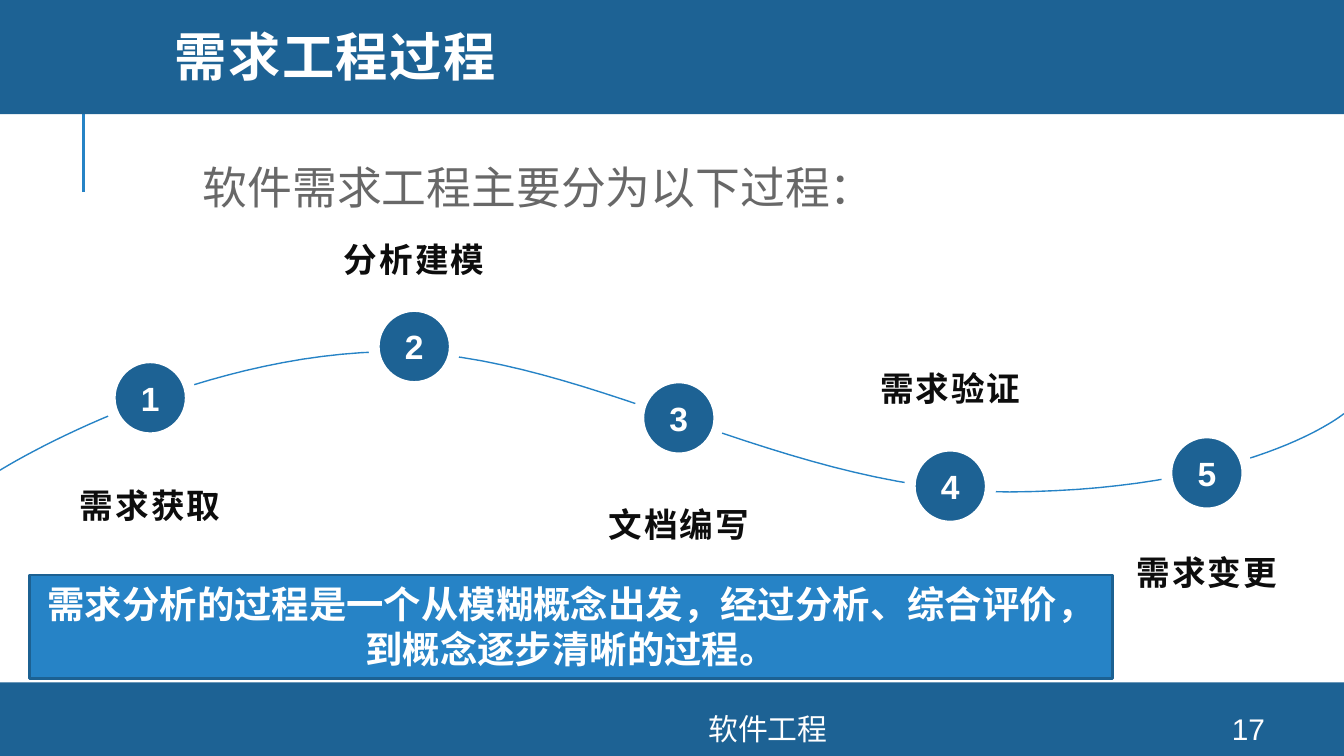
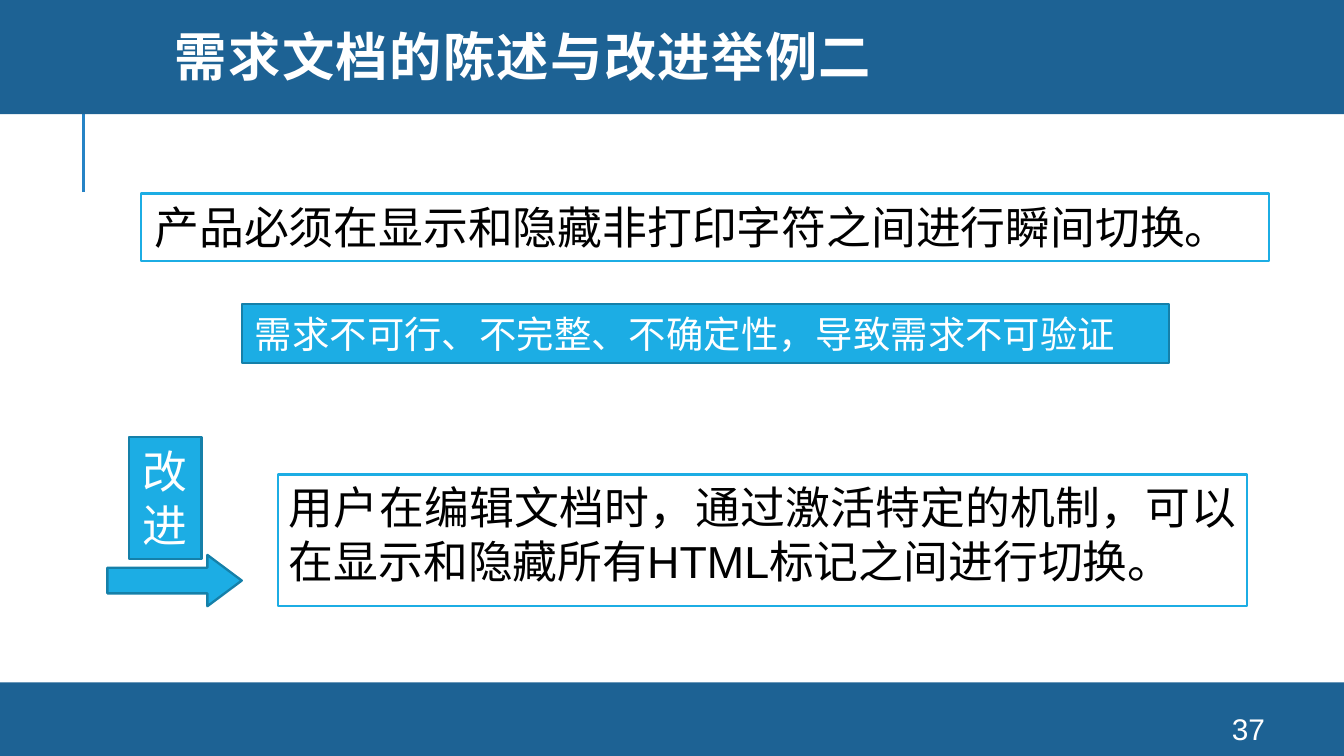
from lxml.etree import SubElement
from pptx import Presentation
from pptx.dml.color import RGBColor
from pptx.enum.shapes import MSO_CONNECTOR, MSO_SHAPE
from pptx.enum.text import MSO_ANCHOR, PP_ALIGN
from pptx.oxml.ns import qn
from pptx.util import Cm, Pt

NAVY, BLUE, SKY = "1D6294", "2683C6", "1CADE4"
EDGE, TEAL = "1C6192", "1580A9"
WHITE, BLACK, INK, GREY = "FFFFFF", "000000", "0D0D0D", "686868"
LEFT, MID, JUST = PP_ALIGN.LEFT, PP_ALIGN.CENTER, PP_ALIGN.JUSTIFY
TOP, HALF, BASE = MSO_ANCHOR.TOP, MSO_ANCHOR.MIDDLE, MSO_ANCHOR.BOTTOM
RECT = MSO_SHAPE.RECTANGLE


def box(shapes, kind, at, fill, line=None, width=1.25):
    """Add a preset shape; at is left, top, width, height in cm."""
    shape = shapes.add_shape(kind, *map(Cm, at))
    shape.shadow.inherit = False
    shape.fill.solid()
    shape.fill.fore_color.rgb = RGBColor.from_string(fill)
    if line:
        shape.line.color.rgb = RGBColor.from_string(line)
        shape.line.width = Pt(width)
    else:
        shape.line.fill.background()
    return shape


def write(shape, text, size, color, bold=False, align=LEFT, anchor=TOP,
          lead=None, before=0, track=0, face="Arial", wrap=True):
    """Fill a shape with text in one style, one paragraph a line."""
    frame = shape.text_frame
    frame.text = text
    frame.word_wrap = wrap
    frame.vertical_anchor = anchor
    for para in frame.paragraphs:
        para.alignment = align
        para.space_before = Pt(before)
        if lead:
            para.line_spacing = lead
        font = para.font
        font.name, font.size, font.bold = face, Pt(size), bold
        font.color.rgb = RGBColor.from_string(color)
        if track:
            for run in para.runs:
                run._r.get_or_add_rPr().set("spc", str(track))


deck = Presentation()
deck.slide_width, deck.slide_height = Cm(25.4), Cm(14.29)

# Titles and page numbers
slides = []
for title, face, page in (("需求工程过程", "Arial", "17"),
                          ("需求文档的陈述与改进举例二", "Montserrat", "37")):
    slide = deck.slides.add_slide(deck.slide_layouts[5])
    head = slide.shapes.title
    head.left, head.top, head.width, head.height = map(Cm, (3.05, 0, 21.56, 2.31))
    write(head, title, 28, WHITE, True, anchor=HALF, lead=0.8, track=80, face=face)
    foot = slide.shapes.add_textbox(*map(Cm, (22.58, 13.49, 2.03, 0.58)))
    write(foot, page, 16, WHITE, align=MID, anchor=HALF)
    slides.append(slide)
first, second = (slide.shapes for slide in slides)

# Shared bands and rule, moved to the master
rule = first.add_connector(MSO_CONNECTOR.STRAIGHT, *map(Cm, (1.58, 3.63, 1.58, 1.73)))
rule.line.color.rgb = RGBColor.from_string(BLUE)
rule.line.width = Pt(1.5)
SubElement(rule._element.spPr, qn("a:effectLst"))
base = box(first, RECT, (0, 12.9, 25.4, 1.39), NAVY)
band = box(first, RECT, (0, -0.08, 25.4, 2.24), NAVY)
tree = deck.slide_master.shapes._spTree
for n, part in enumerate((rule, base, band)):
    part._element.xpath(".//p:cNvPr")[0].set("id", str(20 + n))
    tree.insert(2 + n, part._element)

# Slide 1: lead-in and footer
intro = first.add_textbox(*map(Cm, (3.58, 2.69, 16.15, 1.5)))
write(intro, "软件需求工程主要分为以下过程：", 24, GREY, lead=1.2)
foot = first.add_textbox(*map(Cm, (6.63, 13.49, 15.77, 0.58)))
write(foot, "软件工程", 16, WHITE, align=MID, anchor=HALF)

# Slide 1: wave, sampled from three cubic curves
knots = [(25.4, 7.82), (25.4, 7.82), (23.65, 9.27), (19.08, 9.3),
         (14.76, 9.3), (11, 6.58), (7.21, 6.65),
         (3.4, 6.76), (0, 8.89), (0, 8.89)]
STEPS = 30
points = []
for k in range(0, 9, 3):
    for i in range(1, STEPS + 1):
        t = i / STEPS
        mix = ((1 - t) ** 3, 3 * t * (1 - t) ** 2, 3 * t * t * (1 - t), t ** 3)
        points.append([Cm(sum(m * p[axis] for m, p in zip(mix, knots[k:k + 4])))
                       for axis in (0, 1)])
path = first.build_freeform(*map(Cm, knots[0]))
path.add_line_segments(points, close=False)
wave = path.convert_to_shape()
wave.shadow.inherit = False
wave.fill.background()
wave.line.color.rgb = RGBColor.from_string(BLUE)
wave.line.width = Pt(0.75)

# Slide 1: numbered steps: centre x, dot top, label top
DOT, WIDE = 1.52, 3.56
steps = (("需求获取", 2.84, 6.76, 8.66), ("分析建模", 7.83, 5.79, 3.99),
         ("文档编写", 12.83, 7.14, 9.02), ("需求验证", 17.96, 8.43, 6.43),
         ("需求变更", 22.81, 8.18, 9.93))
for n, (name, x, y, top) in enumerate(steps, 1):
    dot = box(first, MSO_SHAPE.OVAL, (x - DOT / 2, y, DOT, DOT), NAVY, WHITE, 6)
    write(dot, str(n), 18, WHITE, True, MID, HALF)
    label = first.add_textbox(*map(Cm, (x - WIDE / 2, top, WIDE, 1.42)))
    write(label, name, 18, INK, True, MID, BASE if top < y else TOP,
          lead=1.5, track=110)

# Slide 1: summary
note = box(first, RECT, (0.56, 10.87, 20.47, 1.96), BLUE, EDGE)
write(note, "需求分析的过程是一个从模糊概念出发，经过分析、综合评价，到概念逐步清晰的过程。",
      20, WHITE, True, MID)

# Slide 2: first wording and its faults
claim = box(second, RECT, (2.67, 3.66, 21.31, 1.27), WHITE, SKY)
write(claim, "产品必须在显示和隐藏非打印字符之间进行瞬间切换。", 24, BLACK,
      align=JUST, before=9)
fault = box(second, RECT, (4.57, 5.75, 17.53, 1.11), SKY, TEAL)
write(fault, "需求不可行、不完整、不确定性，导致需求不可验证", 20, WHITE)

# Slide 2: arrow with its tag, then the better wording
group = second.add_group_shape().shapes
arrow = box(group, MSO_SHAPE.RIGHT_ARROW, (2.03, 10.49, 2.54, 0.97), SKY, TEAL)
arrow.adjustments[0], arrow.adjustments[1] = 0.5, 0.67
tag = box(group, RECT, (2.44, 8.26, 1.37, 2.31), SKY, TEAL)
write(tag, "改\n进", 24, WHITE, wrap=False)
better = box(second, RECT, (5.26, 8.97, 18.31, 2.49), WHITE, SKY)
write(better, "用户在编辑文档时，通过激活特定的机制，可以在显示和隐藏所有HTML标记之间进行切换。",
      24, BLACK, align=JUST, before=4.5)
frame = better.text_frame
frame.margin_left = frame.margin_right = Cm(0.2)
frame.margin_top = frame.margin_bottom = Cm(0.1)

deck.save("out.pptx")
